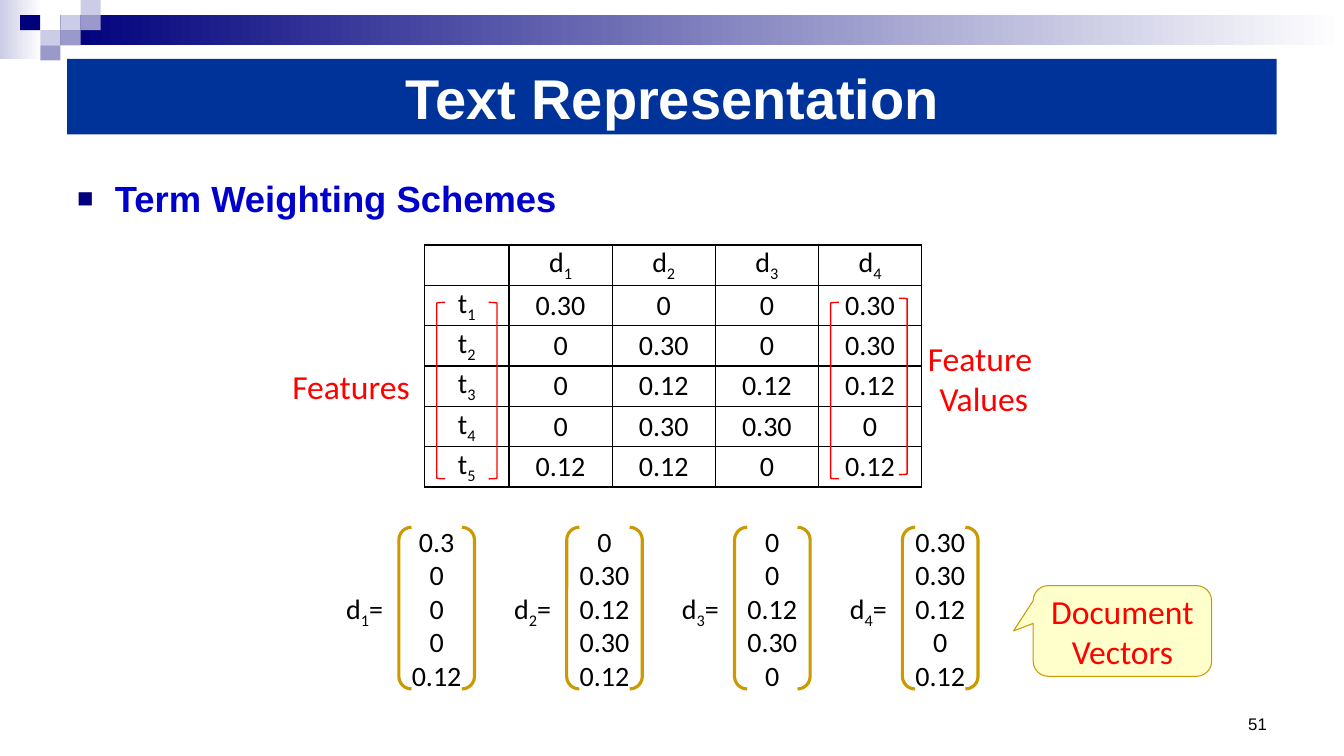
from lxml import etree
from pptx import Presentation
from pptx.dml.color import RGBColor
from pptx.enum import shapes, text
from pptx.oxml.ns import qn
from pptx.util import Pt

NAVY, LILAC, PERIWINKLE, WHITE = "00007D", "CCCCE6", "9999CC", "FFFFFF"
BLACK, RED, GOLD = "000000", "FF0000", "CC9900"
SHAPE, ALIGN, ANCHOR = shapes.MSO_SHAPE, text.PP_ALIGN, text.MSO_ANCHOR

WEIGHTS = [
    ["", "d|1", "d|2", "d|3", "d|4"],
    ["t|1", "0.30", "0", "0", "0.30"],
    ["t|2", "0", "0.30", "0", "0.30"],
    ["t|3", "0", "0.12", "0.12", "0.12"],
    ["t|4", "0", "0.30", "0.30", "0"],
    ["t|5", "0.12", "0.12", "0", "0.12"],
]
VECTORS = [
    ["0.3", "0", "0", "0", "0.12"],
    ["0", "0.30", "0.12", "0.30", "0.12"],
    ["0", "0", "0.12", "0.30", "0"],
    ["0.30", "0.30", "0.12", "0", "0.12"],
]


def rgb(value):
    """Turn a hex string into a colour."""
    return RGBColor.from_string(value)


def write(tf, lines, size, color=BLACK, font="Calibri", bold=False,
          align=ALIGN.CENTER, anchor=ANCHOR.MIDDLE, wrap=True):
    """Write one paragraph per line; text between bars is subscript."""
    tf.word_wrap = wrap
    tf.vertical_anchor = anchor
    for i, line in enumerate(lines):
        p = tf.add_paragraph() if i else tf.paragraphs[0]
        p.alignment = align
        for k, part in enumerate(line.split("|")):
            if not part:
                continue
            r = p.add_run()
            r.text = part
            r.font.size, r.font.name, r.font.bold = Pt(size), font, bold
            r.font.color.rgb = rgb(color)
            if k % 2:
                r.font._element.set("baseline", "-25000")


def add_shape(s, kind, x, y, w, h, fill=None, line=None, width=1):
    """Add a preset shape; a pair of fills makes a gradient."""
    sp = s.shapes.add_shape(kind, Pt(x), Pt(y), Pt(w), Pt(h))
    sp.shadow.inherit = False
    if isinstance(fill, tuple):
        sp.fill.gradient()
        sp.fill.gradient_angle = 0
        for stop, color in zip(sp.fill.gradient_stops, fill):
            stop.color.rgb = rgb(color)
    elif fill:
        sp.fill.solid()
        sp.fill.fore_color.rgb = rgb(fill)
    else:
        sp.fill.background()
    if line:
        sp.line.color.rgb = rgb(line)
        sp.line.width = Pt(width)
    else:
        sp.line.fill.background()
    return sp


def add_text(s, x, y, w, h, lines, size, **style):
    """Add a text box and return its frame."""
    tf = s.shapes.add_textbox(Pt(x), Pt(y), Pt(w), Pt(h)).text_frame
    write(tf, lines, size, **style)
    return tf


def header_band(s, x, y, w):
    """Draw the gradient band and its checkered corner."""
    cw, ch = 14.4, 10.8
    add_shape(s, SHAPE.RECTANGLE, x, y, 30, 42, (LILAC, WHITE))
    add_shape(s, SHAPE.RECTANGLE, x + 3 * cw, y + ch, w - 3 * cw, 2 * ch, (NAVY, WHITE))
    tiles = [(3, 1, LILAC), (4, 0, LILAC), (4, 1, PERIWINKLE), (2, 2, LILAC),
             (1, 1, NAVY), (3, 2, PERIWINKLE), (2, 3, PERIWINKLE)]
    for col, row, color in tiles:
        add_shape(s, SHAPE.RECTANGLE, x + col * cw, y + row * ch, cw, ch, color)


def title_bar(s, x, y, w, h):
    """Draw the slide title on its blue bar."""
    sp = add_shape(s, SHAPE.RECTANGLE, x, y, w, h, "003399")
    write(sp.text_frame, ["Text Representation"], 40, WHITE, "Arial", True)


def bullet_heading(s, x, y, w, h):
    """Write the bulleted heading."""
    tf = add_text(s, x, y, w, h, ["Term Weighting Schemes"], 26, color="0000CC",
                  font="Arial", bold=True, align=ALIGN.LEFT, anchor=ANCHOR.TOP)
    pPr = tf.paragraphs[0]._p.get_or_add_pPr()
    pPr.set("marL", str(Pt(27)))
    pPr.set("indent", str(-Pt(27)))
    color = etree.SubElement(pPr, qn("a:buClr"))
    etree.SubElement(color, qn("a:srgbClr"), val=NAVY)
    etree.SubElement(pPr, qn("a:buSzPct"), val="75000")
    etree.SubElement(pPr, qn("a:buFont"), typeface="Arial")
    etree.SubElement(pPr, qn("a:buChar"), char="■")


def cell_borders(cell, color, width):
    """Draw a line on all four sides of a cell."""
    tcPr = cell._tc.get_or_add_tcPr()
    for side in "LRTB":
        ln = etree.SubElement(tcPr, qn("a:ln" + side), w=str(Pt(width)))
        fill = etree.SubElement(ln, qn("a:solidFill"))
        etree.SubElement(fill, qn("a:srgbClr"), val=color)


def weight_table(s, x, y, first, col, row):
    """Build the table of term weights per document."""
    n, m = len(WEIGHTS), len(WEIGHTS[0])
    table = s.shapes.add_table(n, m, Pt(x), Pt(y), Pt(first + (m - 1) * col),
                               Pt(n * row)).table
    table.first_row = table.horz_banding = False
    for j in range(m):
        table.columns[j].width = Pt(col if j else first)
    for i, values in enumerate(WEIGHTS):
        table.rows[i].height = Pt(row)
        for j, value in enumerate(values):
            cell = table.cell(i, j)
            cell.margin_left = cell.margin_right = cell.margin_top = cell.margin_bottom = 0
            cell.vertical_anchor = ANCHOR.MIDDLE
            cell_borders(cell, BLACK, 1)
            cell.fill.solid()
            cell.fill.fore_color.rgb = rgb(WHITE)
            write(cell.text_frame, [value], 20)


def bracketed_column(s, x, y, w, h, rise=0):
    """Put red brackets around a table column, the right one raised by rise."""
    add_shape(s, SHAPE.LEFT_BRACKET, x, y, 6, h, line=RED)
    right = add_shape(s, SHAPE.LEFT_BRACKET, x + w - 6, y - rise, 6, h, line=RED)
    right.rotation = 180


def document_vector(s, x, y, number, values):
    """Draw one labelled vector between gold brackets."""
    sp = add_shape(s, SHAPE.DOUBLE_BRACKET, x + 45.3, y, 54, 115.5, line=GOLD, width=2.25)
    write(sp.text_frame, values, 20, wrap=False)
    add_text(s, x, y + 42, 41.8, 31.5, [f"d|{number}|="], 20,
             anchor=ANCHOR.TOP, wrap=False)


def vector_callout(s, x, y, w, h):
    """Draw the callout that names the vectors."""
    sp = add_shape(s, SHAPE.ROUNDED_RECTANGULAR_CALLOUT, x, y, w, h, "FFFFCC", GOLD, 0.75)
    sp.adjustments[0], sp.adjustments[1] = -0.61, 0
    write(sp.text_frame, ["Document Vectors"], 24, RED)


def main():
    """Build the slide and save it."""
    prs = Presentation()
    prs.slide_width, prs.slide_height = Pt(960), Pt(540)
    s = prs.slides.add_slide(prs.slide_layouts[6])
    header_band(s, 0, 0, 960)
    title_bar(s, 48, 42, 864, 54)
    bullet_heading(s, 48, 122.4, 864, 40)
    weight_table(s, 303.1, 175, 60.5, 73.7, 28.8)
    for i, values in enumerate(VECTORS):
        document_vector(s, 239.6 + i * 119.9, 376.6, i + 1, values)
    add_text(s, 800, 492, 112, 36, ["51"], 12, font="Arial",
             align=ALIGN.RIGHT, anchor=ANCHOR.BOTTOM)
    vector_callout(s, 738, 418.3, 127.5, 64.8)
    bracketed_column(s, 312, 216, 43, 126)
    add_text(s, 201, 257.8, 99.4, 36, ["Features"], 24, color=RED,
             anchor=ANCHOR.TOP, wrap=False)
    bracketed_column(s, 593.3, 216, 54.7, 126, rise=3)
    add_text(s, 655.2, 237.6, 95, 65.5, ["Feature ", "Values"], 24, color=RED,
             anchor=ANCHOR.TOP, wrap=False)
    prs.save("out.pptx")


if __name__ == "__main__":
    main()
